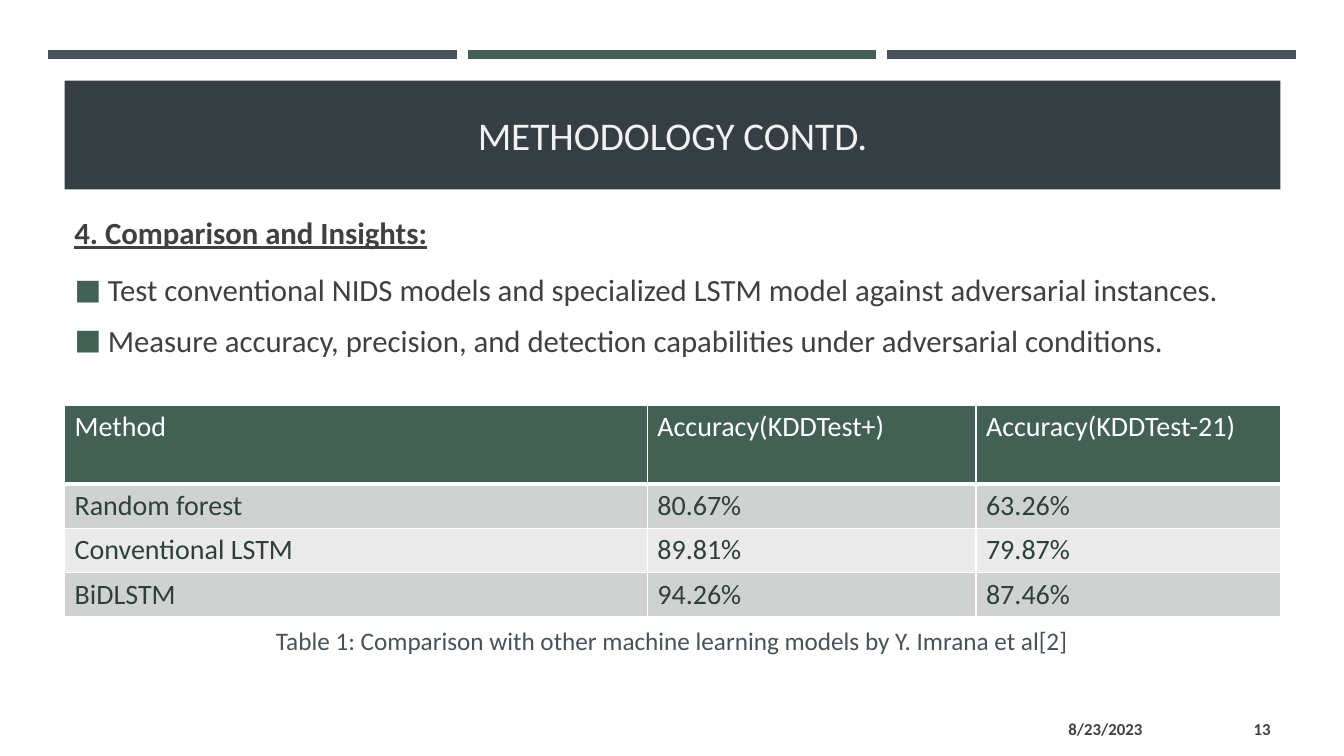
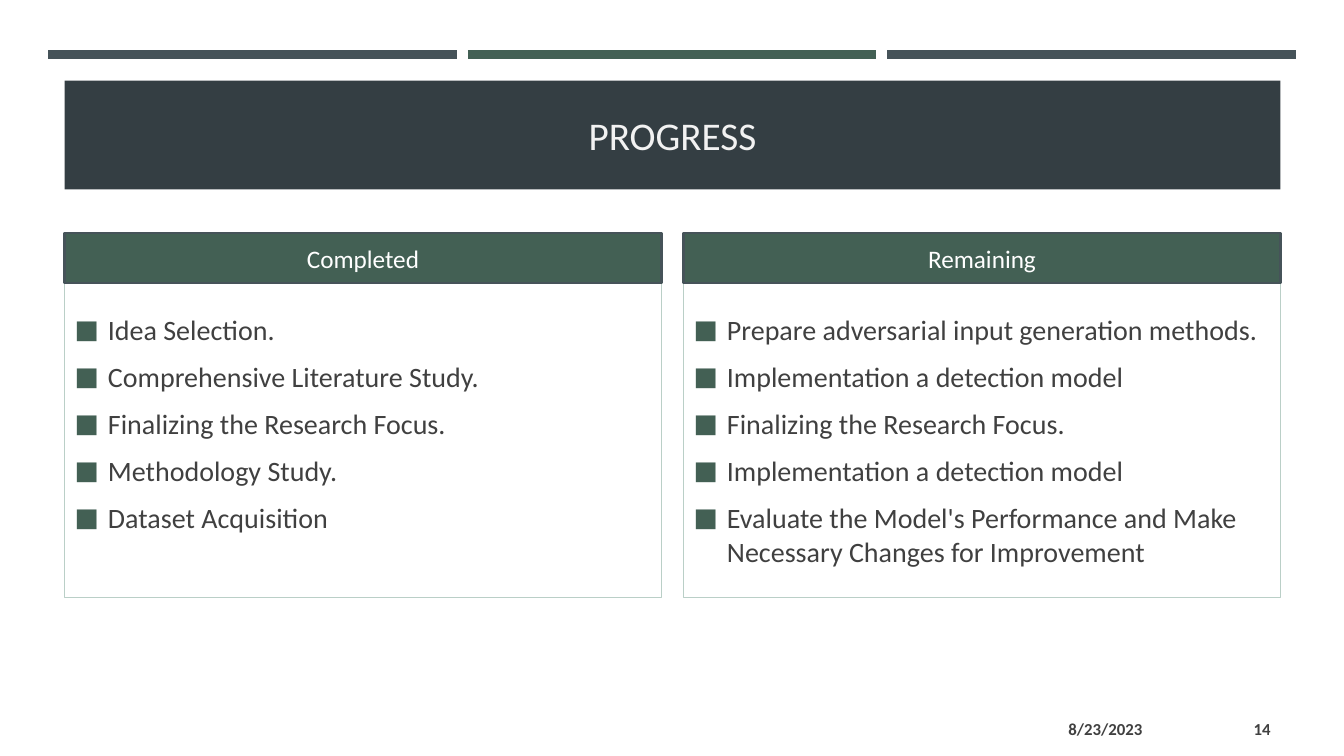
from lxml import etree
from pptx import Presentation
from pptx.dml.color import RGBColor
from pptx.enum.shapes import MSO_CONNECTOR as Conn, MSO_SHAPE as Shape
from pptx.enum.text import MSO_ANCHOR as Anchor, MSO_AUTO_SIZE as Auto, PP_ALIGN as Align
from pptx.oxml import parse_xml
from pptx.oxml.ns import nsdecls, qn
from pptx.util import Inches, Pt

FONT = "Calibri"
GREEN, SLATE, DARK = "436054", "465359", "343E43"
WHITE, PALE, INK, MINT = "FFFFFF", "F2F2F2", "404040", "BACFC7"
CELL, ODD, EVEN = "2D4039", "CFD2D1", "E9EAE9"
LEFT, WIDTH = 0.64, 12.06
DATE = "8/23/2023"


def rgb(color):
    return RGBColor.from_string(color)


def paint(shape, fill=None, line=None, weight=1):
    if fill:
        shape.fill.solid()
        shape.fill.fore_color.rgb = rgb(fill)
    if line:
        shape.line.color.rgb = rgb(line)
        shape.line.width = Pt(weight)


def place(shape, x, y, w, h):
    shape.left, shape.top = Inches(x), Inches(y)
    shape.width, shape.height = Inches(w), Inches(h)


def write(par, text, size, color, align=Align.LEFT, bold=False, under=False):
    par.alignment = align
    run = par.add_run()
    run.text = text
    font = run.font
    font.name, font.size, font.color.rgb = FONT, Pt(size), rgb(color)
    font.bold, font.underline = bold, under


def space(par):
    par.space_before, par.space_after = Pt(3.6), Pt(6)


def bullet(par):
    props = par._p.get_or_add_pPr()
    props.set("marL", str(Inches(0.33)))
    props.set("indent", str(-Inches(0.33)))
    for xml in (
        f'<a:buClr {nsdecls("a")}><a:srgbClr val="{GREEN}"/></a:buClr>',
        f'<a:buSzPct {nsdecls("a")} val="92000"/>',
        f'<a:buFont {nsdecls("a")} typeface="{FONT}"/>',
        f'<a:buChar {nsdecls("a")} char="■"/>',
    ):
        props.append(parse_xml(xml))


def fill_list(body, items, size, at, inset=0.05):
    place(body, *at)
    frame = body.text_frame
    frame.auto_size = Auto.NONE
    frame.vertical_anchor = Anchor.TOP
    frame.margin_top = Inches(inset)
    for i, item in enumerate(items):
        par = frame.add_paragraph() if i else frame.paragraphs[0]
        write(par, item, size, INK)
        space(par)
        bullet(par)


def add_text(slide, at, text, size, color, anchor=Anchor.TOP, **style):
    frame = slide.shapes.add_textbox(*map(Inches, at)).text_frame
    frame.word_wrap = True
    frame.vertical_anchor = anchor
    par = frame.paragraphs[0]
    write(par, text, size, color, **style)
    return par


def add_bands(slide):
    for i, color in enumerate((SLATE, GREEN, SLATE)):
        x = 0.48 + i * 4.16
        band = slide.shapes.add_connector(
            Conn.STRAIGHT, Inches(x), Inches(0.54), Inches(x + 4.05), Inches(0.54))
        paint(band, line=color, weight=6.5)
        etree.SubElement(band._element.spPr, qn("a:effectLst"))


def add_slide(deck, layout, title, number):
    """Add a slide with the shared bands, title bar and footer."""
    slide = deck.slides.add_slide(deck.slide_layouts[layout])
    add_bands(slide)
    bar = slide.shapes.title
    place(bar, LEFT, 0.8, WIDTH, 1.08)
    paint(bar, DARK)
    bar.text_frame.vertical_anchor = Anchor.MIDDLE
    write(bar.text_frame.paragraphs[0], title, 28, PALE, Align.CENTER)
    for x, w, text in ((8.32, 3.11, DATE), (11.55, 1.15, str(number))):
        add_text(slide, (x, 7.03, w, 0.4), text, 12, INK, Anchor.MIDDLE,
                 align=Align.RIGHT, bold=True)
    return slide


def edge(cell, head):
    """Give a cell white borders, with a thick one below the header."""
    props = cell._tc.get_or_add_tcPr()
    for i, side in enumerate("LRTB"):
        width = Pt(3 if head and side == "B" else 1)
        props.insert(i, parse_xml(
            f'<a:ln{side} {nsdecls("a")} w="{width}"><a:solidFill>'
            f'<a:srgbClr val="{WHITE}"/></a:solidFill></a:ln{side}>'))


def add_grid(slide, rows, widths, heights, x, y):
    frame = slide.shapes.add_table(
        len(rows), len(widths), Inches(x), Inches(y),
        Inches(sum(widths)), Inches(sum(heights)))
    table = frame.table
    table.first_row = table.horz_banding = False
    for col, w in zip(table.columns, widths):
        col.width = Inches(w)
    for r, row in enumerate(rows):
        table.rows[r].height = Inches(heights[r])
        back = GREEN if r == 0 else ODD if r % 2 else EVEN
        for c, text in enumerate(row):
            cell = table.cell(r, c)
            paint_cell = cell.fill
            paint_cell.solid()
            paint_cell.fore_color.rgb = rgb(back)
            edge(cell, r == 0)
            write(cell.text_frame.paragraphs[0], text, 20, CELL if r else WHITE)


def add_header(slide, text, x, w):
    head = slide.shapes.add_shape(
        Shape.RECTANGLE, Inches(x), Inches(2.31), Inches(w), Inches(0.5))
    head.shadow.inherit = False
    paint(head, GREEN, SLATE, 1.75)
    head.text_frame.vertical_anchor = Anchor.MIDDLE
    write(head.text_frame.paragraphs[0], text, 18, WHITE, Align.CENTER)


def add_method(deck):
    slide = add_slide(deck, 1, "METHODOLOGY CONTD.", 13)
    space(add_text(slide, (LEFT, 2.07, WIDTH, 0.46), "4. Comparison and Insights:",
                   22, INK, bold=True, under=True))
    fill_list(slide.placeholders[1], (
        "Test conventional NIDS models and specialized LSTM model against adversarial instances.",
        "Measure accuracy, precision, and detection capabilities under adversarial conditions.",
    ), 22, (LEFT, 2.64, WIDTH, 1.11))
    add_grid(slide, (
        ("Method", "Accuracy(KDDTest+)", "Accuracy(KDDTest-21)"),
        ("Random forest", "80.67%", "63.26%"),
        ("Conventional LSTM", "89.81%", "79.87%"),
        ("BiDLSTM", "94.26%", "87.46%"),
    ), (5.78, 3.26, 3.02), (0.78, 0.44, 0.44, 0.44), LEFT, 4.02)
    add_text(slide, (2.36, 6.15, 8.61, 0.4),
             "Table 1: Comparison with other machine learning models by Y. Imrana et al[2]",
             18, SLATE, align=Align.CENTER)


def add_progress(deck):
    slide = add_slide(deck, 3, "PROGRESS", 14)
    panels = (
        ("Completed", ("Idea Selection.", "Comprehensive Literature Study.",
                       "Finalizing the Research Focus.", "Methodology Study.",
                       "Dataset Acquisition")),
        ("Remaining", ("Prepare adversarial input generation methods.",
                       "Implementation a detection model",
                       "Finalizing the Research Focus.",
                       "Implementation a detection model",
                       "Evaluate the Model's Performance and Make "
                       "Necessary Changes for Improvement")),
    )
    gap = 0.22
    w = (WIDTH - gap) / 2
    for i, (head, items) in enumerate(panels):
        x = LEFT + i * (w + gap)
        body = slide.placeholders[i + 1]
        fill_list(body, items, 20, (x, 2.6, w, 3.33), inset=0.5)
        paint(body, line=MINT, weight=0.75)
        add_header(slide, head, x, w)


def main():
    deck = Presentation()
    deck.slide_width, deck.slide_height = Inches(13.33), Inches(7.5)
    add_method(deck)
    add_progress(deck)
    deck.save("out.pptx")


if __name__ == "__main__":
    main()
